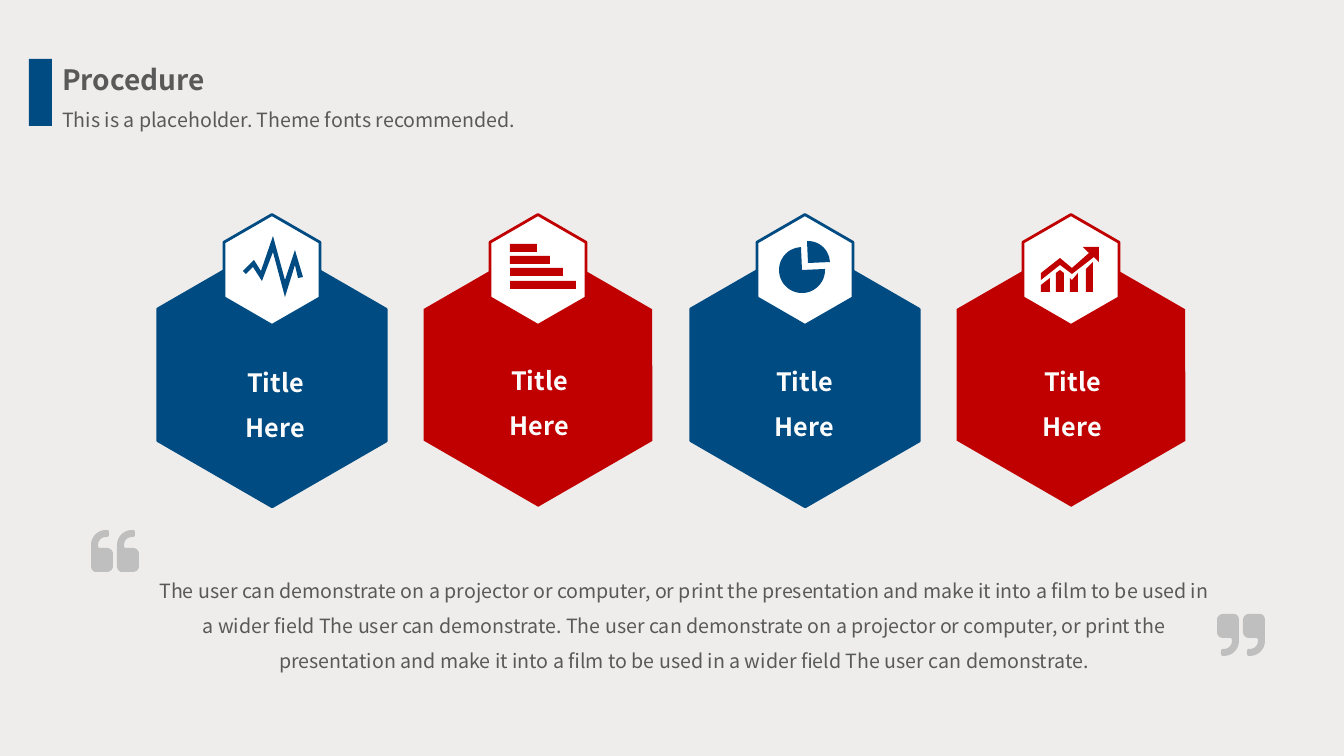
from dataclasses import dataclass
from math import cos, pi, sin

from pptx import Presentation
from pptx.dml.color import RGBColor
from pptx.enum.shapes import MSO_SHAPE as Preset
from pptx.enum.text import MSO_ANCHOR as Anchor, MSO_AUTO_SIZE as AutoSize, PP_ALIGN as Align
from pptx.oxml.xmlchemy import OxmlElement
from pptx.util import Pt

PX = 9071  # EMU per px, 1344 px across the slide


@dataclass(frozen=True)
class Theme:
    paper: str = "EEEDEB"
    blue: str = "004B82"
    red: str = "C00000"
    white: str = "FFFFFF"
    card_text: str = "FCFCFC"
    text: str = "595959"
    quote: str = "BFBFBF"
    font: str = "Noto Sans CJK SC"
    title: int = 20
    card: int = 18
    body: int = 14


theme = Theme()


def paint(shape, fill, line=None):
    shape.shadow.inherit = False
    shape.fill.solid()
    shape.fill.fore_color.rgb = RGBColor.from_string(fill)
    if line:
        shape.line.color.rgb = RGBColor.from_string(line)
        shape.line.width = Pt(2)
    else:
        shape.line.fill.background()


def write(shape, box, lines, size, color, align, bold=False, spacing=1.5):
    """Move the shape to a px box and set one paragraph per line."""
    shape.left, shape.top, shape.width, shape.height = [side * PX for side in box]
    frame = shape.text_frame
    frame.word_wrap = True
    frame.auto_size = AutoSize.NONE
    frame.vertical_anchor = Anchor.TOP
    for number, line in enumerate(lines):
        para = frame.add_paragraph() if number else frame.paragraphs[0]
        para.alignment = align
        para.line_spacing = spacing
        para.space_before = Pt(0)
        span = para.add_run()
        span.text = line
        span.font.name = theme.font
        span.font.size = Pt(size)
        span.font.bold = bold
        span.font.color.rgb = RGBColor.from_string(color)


deck = Presentation()
deck.slide_width, deck.slide_height = 1344 * PX, 756 * PX
page = deck.slides.add_slide(deck.slide_layouts[1])
page.background.fill.solid()
page.background.fill.fore_color.rgb = RGBColor.from_string(theme.paper)
shapes = page.shapes

# Heading
marker = shapes.add_shape(Preset.RECTANGLE, 29 * PX, 59 * PX, 23 * PX, 67 * PX)
paint(marker, theme.blue)
write(shapes.title, (52, 57, 496, 44), ["Procedure"], theme.title, theme.text,
      Align.LEFT, bold=True, spacing=1.0)
subtitle = page.placeholders[1]
write(subtitle, (52, 91, 677, 38), ["This is a placeholder. Theme fonts recommended."],
      theme.body, theme.text, Align.LEFT)
properties = subtitle.text_frame.paragraphs[0]._p.get_or_add_pPr()
properties.set("marL", "0")
properties.set("indent", "0")
properties.append(OxmlElement("a:buNone"))

# Hexagon cards: colour, outline of the large hexagon, label corner
cards = [
    (theme.blue, theme.blue, 182, 347),
    (theme.red, None, 446, 345),
    (theme.blue, theme.blue, 711, 346),
    (theme.red, None, 979, 346),
]
for index, (color, outline, label_left, label_top) in enumerate(cards):
    center = 272 + 533 * index // 2
    for middle, width, height, fill, line in [
        (375, 264, 228, color, outline),
        (270, 111, 96, theme.white, color),
    ]:
        hexagon = shapes.add_shape(Preset.HEXAGON, (2 * center - width) * PX // 2,
                                   (2 * middle - height) * PX // 2, width * PX, height * PX)
        hexagon.adjustments[0] = 0.289
        hexagon.adjustments[1] = 1.155
        hexagon.rotation = 30
        paint(hexagon, fill, line)
    label = shapes.add_textbox(0, 0, 0, 0)
    write(label, (label_left, label_top, 187, 93), ["Title", "Here"], theme.card,
          theme.card_text, Align.CENTER, bold=True)

# Bar icon
for index in range(4):
    bar = shapes.add_shape(Preset.RECTANGLE, 510 * PX, (244 + 37 * index // 3) * PX,
                           (27 + 13 * index) * PX, 8 * PX)
    paint(bar, theme.red)

# Pie icon: left, top, diameter, start and end angle in degrees
for left, top, diameter, start, end in [
    (779, 247, 46, 357.4, 267.4),
    (786, 241, 44, 267.4, 357.4),
]:
    pie = shapes.add_shape(Preset.PIE, left * PX, top * PX, diameter * PX, diameter * PX)
    pie.adjustments[0] = start * 0.6
    pie.adjustments[1] = end * 0.6
    paint(pie, theme.blue)

# Line icons
pulse = [(273, 252), (262, 281), (253, 267), (246, 274), (243, 271), (254, 260), (261, 271),
         (273, 236), (285, 280), (295, 250), (303, 277), (298, 278), (295, 265), (285, 297)]
columns = [
    [(1056, 273), (1056, 292), (1064, 292), (1064, 273), (1060, 270)],
    [(1041, 292), (1050, 292), (1050, 278), (1041, 285)],
    [(1086, 269), (1086, 292), (1093, 292), (1093, 262)],
    [(1070, 278), (1070, 292), (1078, 292), (1078, 273), (1072, 280)],
]
arrow = [(1099, 247), (1083, 247), (1089, 253), (1072, 268), (1060, 258), (1041, 273),
         (1041, 280), (1060, 265), (1072, 274), (1094, 257), (1099, 262)]

# Quotation mark: each rounded corner is a start, an elbow and an end
corners = [
    ((22, 36), (22, 42), (16, 42)),
    ((5, 42), (0, 42), (0, 36)),
    ((0, 15), (0, 0), (15, 0)),
    ((16, 0), (18, 0), (18, 2)),
    ((18, 5), (18, 7), (16, 7)),
    ((15, 7), (7, 7), (7, 15)),
    ((7, 16), (7, 18), (9, 18)),
    ((16, 18), (22, 18), (22, 24)),
]
steps = 8
mark = []
for start, elbow, end in corners:
    for step in range(steps + 1):
        angle = pi / 2 * step / steps
        mark.append([e + (s - e) * (1 - sin(angle)) + (f - e) * (1 - cos(angle))
                     for s, e, f in zip(start, elbow, end)])
opening, closing = [
    [[(left + turn * (x + shift), top + turn * y) for x, y in mark] for shift in (0, 26)]
    for left, top, turn in [(91, 530, 1), (1265, 656, -1)]
]

for outlines, color in [
    ([pulse], theme.blue),
    (columns, theme.red),
    ([arrow], theme.red),
    (opening, theme.quote),
    (closing, theme.quote),
]:
    builder = None
    for outline in outlines:
        first, *rest = [(round(x * PX), round(y * PX)) for x, y in outline]
        if builder is None:
            builder = shapes.build_freeform(*first)
        else:
            builder.move_to(*first)
        builder.add_line_segments(rest, close=True)
    paint(builder.convert_to_shape(), color)

# Quotation
quotation = shapes.add_textbox(0, 0, 0, 0)
write(quotation, (142, 562, 1085, 114), [
    "The user can demonstrate on a projector or computer, or print the presentation and make it "
    "into a film to be used in a wider field The user can demonstrate. The user can demonstrate "
    "on a projector or computer, or print the presentation and make it into a film to be used "
    "in a wider field The user can demonstrate."
], theme.body, theme.text, Align.CENTER)

deck.save("out.pptx")
